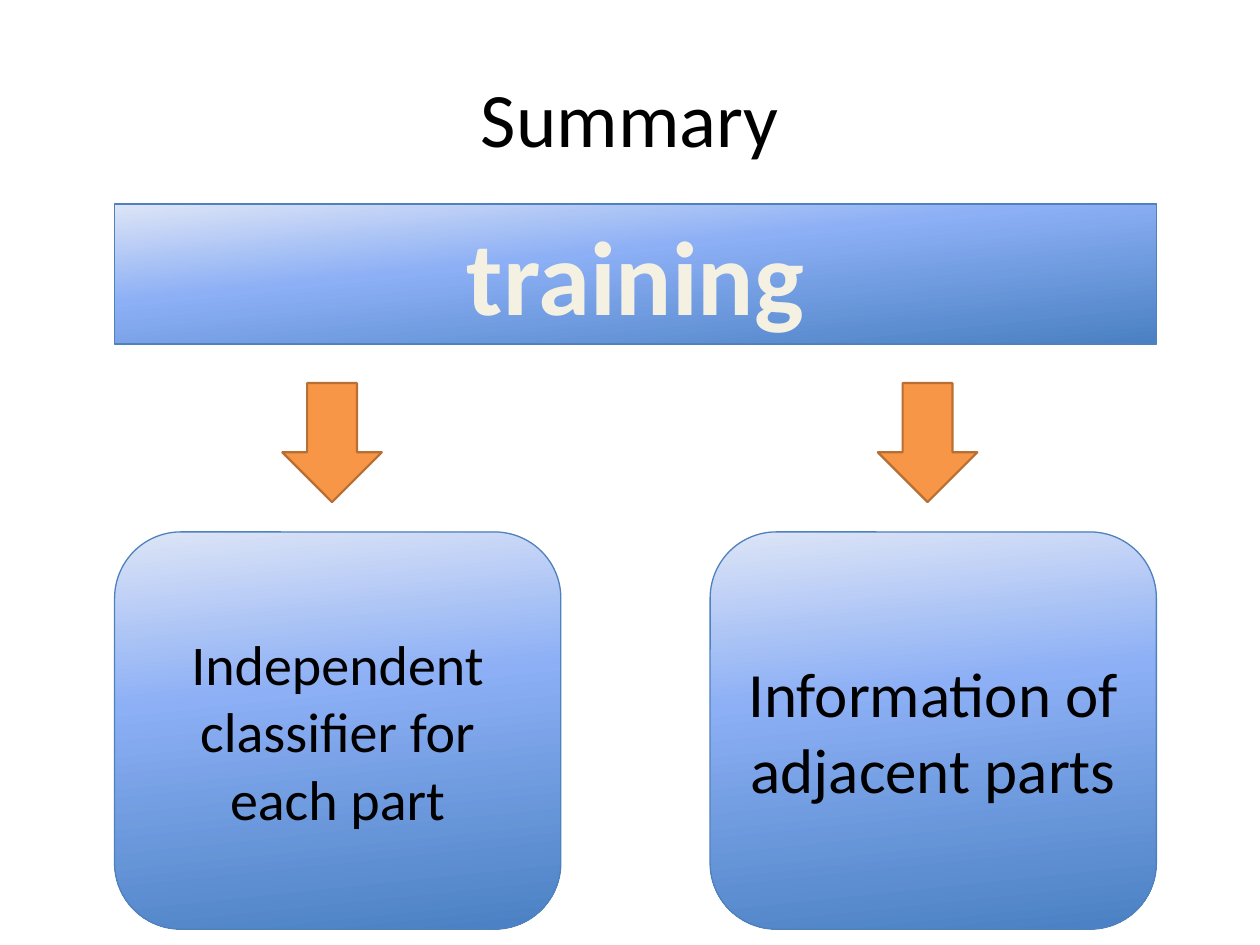
from lxml import etree
from pptx import Presentation
from pptx.dml.color import RGBColor
from pptx.enum import shapes, text
from pptx.oxml.ns import qn
from pptx.util import Pt

BLACK = RGBColor(0x00, 0x00, 0x00)
CREAM = RGBColor(0xF4, 0xF1, 0xE3)
BLUE = RGBColor(0x4F, 0x81, 0xBD)
ORANGE = RGBColor(0xF7, 0x96, 0x46)
BROWN = RGBColor(0xB7, 0x6F, 0x34)
GRADIENT = [
    (0, RGBColor(0xDD, 0xE5, 0xF6)),
    (40, RGBColor(0x8C, 0xAF, 0xF5)),
    (100, RGBColor(0x4A, 0x81, 0xC3)),
]
FONT = "Calibri"
LEFT = 65.5
COLUMN_WIDTH = 255
COLUMN_PITCH = 340.3
ARROW_OFFSET = 95.8


def write_text(shape, wording, size, color, bold=False):
    shape.text_frame.text = wording
    paragraph = shape.text_frame.paragraphs[0]
    paragraph.alignment = text.PP_ALIGN.CENTER
    font = paragraph.runs[0].font
    font.name, font.size, font.bold = FONT, Pt(size), bold
    font.color.rgb = color


def add_title(slide, wording):
    title = slide.shapes.title
    title.left, title.top, title.width, title.height = Pt(36), Pt(21.6), Pt(648), Pt(90)
    title.text_frame.vertical_anchor = text.MSO_ANCHOR.MIDDLE
    write_text(title, wording, 44, BLACK)


def add_outlined_shape(slide, kind, left, top, width, height, line_color, line_width):
    shape = slide.shapes.add_shape(kind, Pt(left), Pt(top), Pt(width), Pt(height))
    shape.shadow.inherit = False
    shape.line.color.rgb = line_color
    shape.line.width = Pt(line_width)
    return shape


def fill_with_gradient(shape):
    """Apply the three-stop gradient, which needs XML for its extra stop."""
    shape.fill.gradient()
    shape.fill.gradient_angle = 360 - 84  # python-pptx counts anticlockwise
    stops = next(shape.element.iter(qn("a:gsLst")))
    for stop in list(stops):
        stops.remove(stop)
    for position, color in GRADIENT:
        stop = etree.SubElement(stops, qn("a:gs"), pos=str(position * 1000))
        etree.SubElement(stop, qn("a:srgbClr"), val=str(color))


def add_panel(slide, kind, left, top, width, height):
    panel = add_outlined_shape(slide, kind, left, top, width, height, BLUE, 0.75)
    fill_with_gradient(panel)
    panel.text_frame.word_wrap = True
    return panel


def add_banner(slide, wording):
    banner = add_panel(slide, shapes.MSO_SHAPE.RECTANGLE, LEFT, 116.6,
                       COLUMN_PITCH + COLUMN_WIDTH, 80)
    write_text(banner, wording, 60, CREAM, bold=True)
    banner.text_frame.vertical_anchor = text.MSO_ANCHOR.TOP
    banner.text_frame.auto_size = text.MSO_AUTO_SIZE.SHAPE_TO_FIT_TEXT


def add_arrow(slide, left):
    arrow = add_outlined_shape(slide, shapes.MSO_SHAPE.DOWN_ARROW, left, 218.9,
                               56.9, 68, BROWN, 1.25)
    arrow.fill.solid()
    arrow.fill.fore_color.rgb = ORANGE


def add_box(slide, left, wording, size):
    box = add_panel(slide, shapes.MSO_SHAPE.ROUNDED_RECTANGLE, left, 304,
                    COLUMN_WIDTH, 227)
    box.text_frame.vertical_anchor = text.MSO_ANCHOR.MIDDLE
    write_text(box, wording, size, BLACK)


def main():
    presentation = Presentation()
    presentation.slide_width, presentation.slide_height = Pt(720), Pt(540)
    slide = presentation.slides.add_slide(presentation.slide_layouts[5])

    add_title(slide, "Summary")
    add_banner(slide, "training")
    boxes = [("Independent classifier for each part", 32),
             ("Information of adjacent parts", 36)]
    for column, (wording, size) in enumerate(boxes):
        left = LEFT + column * COLUMN_PITCH
        add_arrow(slide, left + ARROW_OFFSET)
        add_box(slide, left, wording, size)

    presentation.save("out.pptx")


if __name__ == "__main__":
    main()
